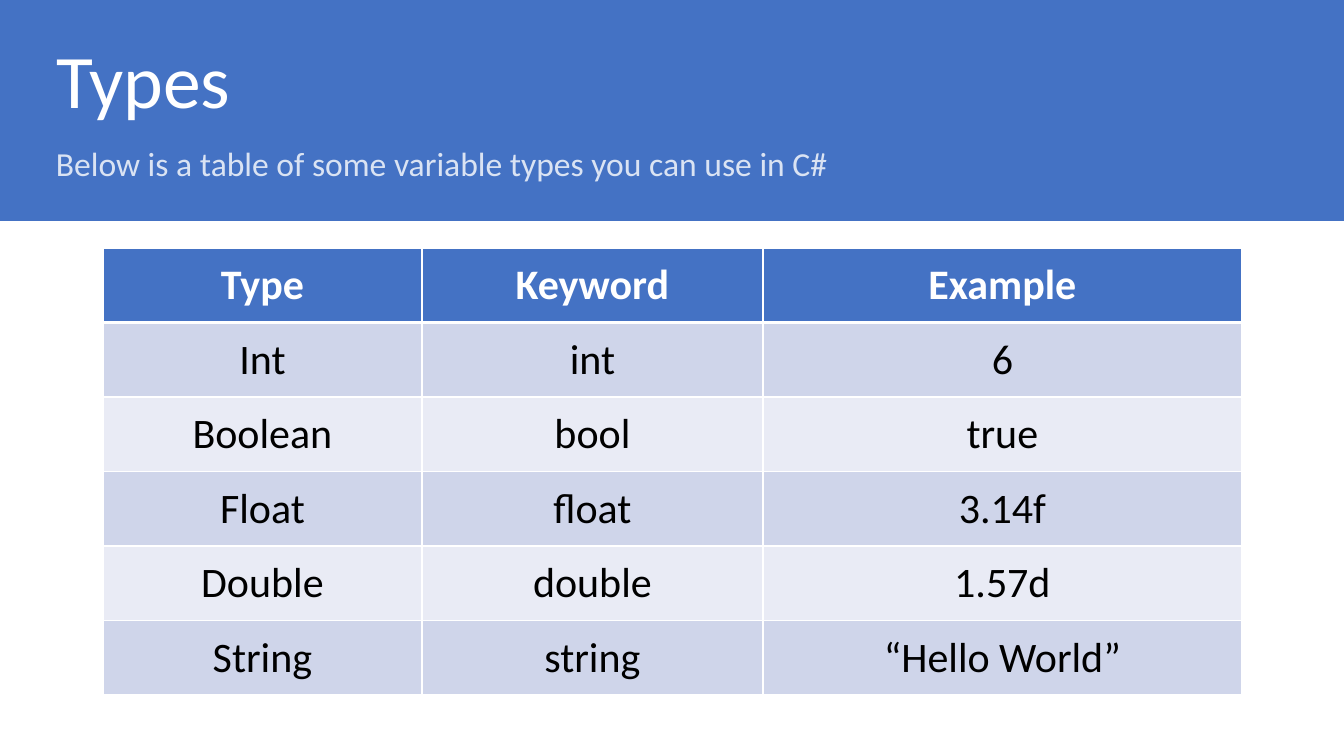
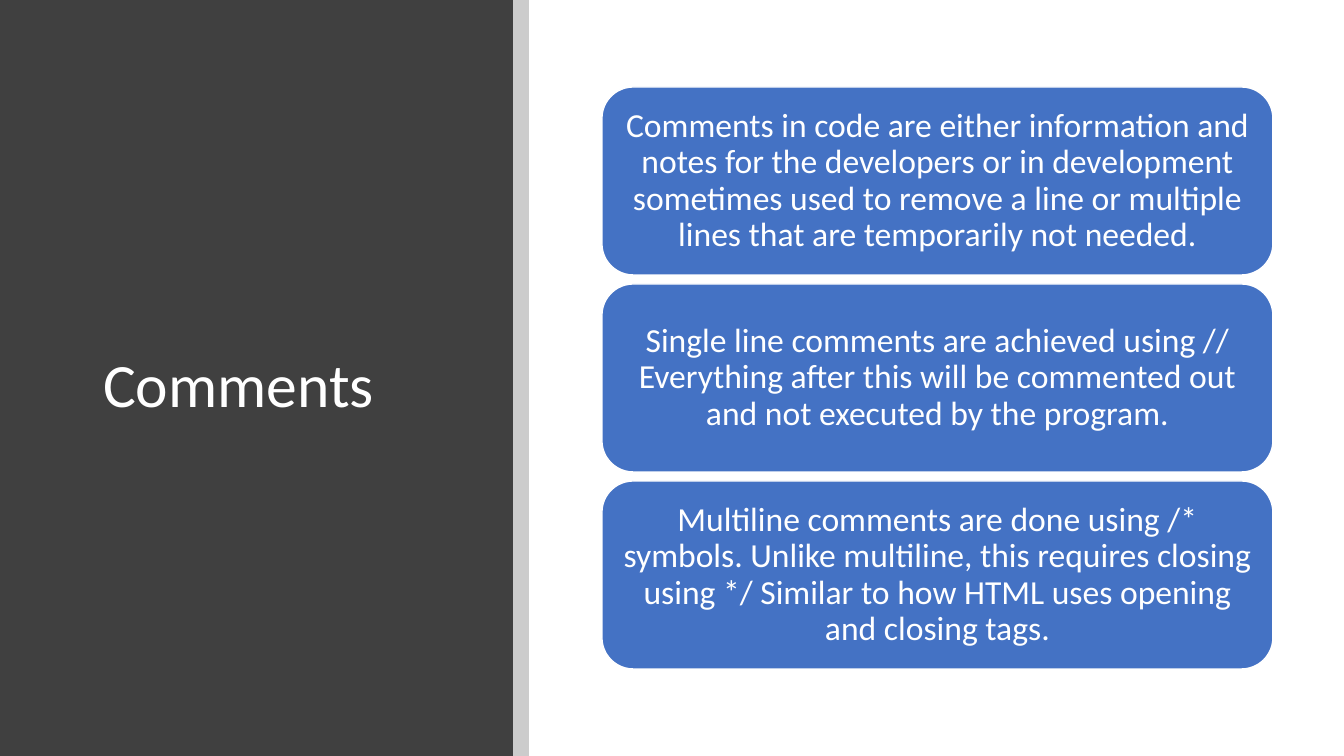
from lxml.etree import SubElement
from pptx import Presentation
from pptx.dml.color import RGBColor
from pptx.enum.shapes import MSO_SHAPE
from pptx.enum.text import MSO_ANCHOR, MSO_AUTO_SIZE, PP_ALIGN
from pptx.oxml.ns import qn
from pptx.util import Emu, Pt

FONT = "Calibri"
SLIDE_WIDTH, SLIDE_HEIGHT = 1344, 756
COLORS = {
    "blue": "4472C4",
    "pale_blue": "DAE3F3",
    "band_dark": "CFD5EA",
    "band_light": "E9EBF5",
    "charcoal": "404040",
    "black": "000000",
    "white": "FFFFFF",
}


def px(length):
    return Emu(round(length * 914400 / 100.8))


def color(name):
    return RGBColor.from_string(COLORS[name])


# Shared parts
def write_text(frame, text, size, color_name, align=PP_ALIGN.LEFT, bold=False, line_spacing=0.9):
    paragraph = frame.paragraphs[0]
    paragraph.alignment = align
    paragraph.line_spacing = line_spacing
    run = paragraph.add_run()
    run.text = text
    run.font.name = FONT
    run.font.size = Pt(size)
    run.font.bold = bold
    run.font.color.rgb = color(color_name)


def add_block(slide, kind, box, fill_name):
    shape = slide.shapes.add_shape(kind, *map(px, box))
    shape.shadow.inherit = False
    shape.fill.solid()
    shape.fill.fore_color.rgb = color(fill_name)
    shape.line.fill.background()
    return shape


def add_band(slide, box, fill_name):
    """Place a plain band behind the title."""
    band = add_block(slide, MSO_SHAPE.RECTANGLE, box, fill_name)
    slide.shapes.title.element.addprevious(band.element)
    return band


def place_title(slide, box, text, size, anchor):
    title = slide.shapes.title
    title.left, title.top, title.width, title.height = map(px, box)
    frame = title.text_frame
    frame.auto_size = MSO_AUTO_SIZE.NONE
    frame.word_wrap = True
    frame.vertical_anchor = anchor
    write_text(frame, text, size, "white")


def add_title_slide(presentation):
    return presentation.slides.add_slide(presentation.slide_layouts[5])


# Heading band across the top
def add_header(slide, box, title, subtitle):
    left, top, width, height = box
    add_band(slide, box, "blue")
    place_title(slide, (left + 46, top + 27, 1159, 103), title, 54, MSO_ANCHOR.BOTTOM)
    text_box = slide.shapes.add_textbox(px(left + 46), px(top + 142), px(1159), px(46))
    text_box.text_frame.word_wrap = True
    write_text(text_box.text_frame, subtitle, 24, "pale_blue")


# Table
def set_borders(cell, bottom_width):
    properties = cell._tc.get_or_add_tcPr()
    for side, width in (("L", 1), ("R", 1), ("T", 1), ("B", bottom_width)):
        line = SubElement(properties, qn(f"a:ln{side}"), w=str(Pt(width)))
        fill = SubElement(line, qn("a:solidFill"))
        SubElement(fill, qn("a:srgbClr"), val=COLORS["white"])


def format_cell(cell, text, row_index):
    is_header = row_index == 0
    cell.margin_left = cell.margin_right = px(17)
    cell.margin_top = cell.margin_bottom = px(8)
    cell.vertical_anchor = MSO_ANCHOR.MIDDLE
    set_borders(cell, 3 if is_header else 1)
    banding = "band_dark" if row_index % 2 else "band_light"
    cell.fill.solid()
    cell.fill.fore_color.rgb = color("blue" if is_header else banding)
    write_text(cell.text_frame, text, 30, "white" if is_header else "black",
               PP_ALIGN.CENTER, is_header, 1.0)


def add_type_table(slide, box, column_widths, rows):
    table = slide.shapes.add_table(len(rows), len(column_widths), *map(px, box)).table
    for column, width in zip(table.columns, column_widths):
        column.width = px(width)
    for row_index, values in enumerate(rows):
        table.rows[row_index].height = px(box[3] / len(rows))
        for column_index, value in enumerate(values):
            format_cell(table.cell(row_index, column_index), value, row_index)


# Side panel with a translucent edge
def add_side_panel(slide, box, title):
    left, top, width, height = box
    add_band(slide, box, "charcoal")
    edge = add_band(slide, (left + width, top, 16, height), "black")
    edge_color = edge.element.spPr.find(qn("a:solidFill")).find(qn("a:srgbClr"))
    SubElement(edge_color, qn("a:alpha"), val="20000")
    place_title(slide, (left + 93, top + 90, 368, 595), title, 44, MSO_ANCHOR.MIDDLE)


# Stack of equal cards
def add_cards(slide, box, gap, texts):
    left, top, width, height = box
    card_height = (height - gap * (len(texts) - 1)) // len(texts)
    for index, text in enumerate(texts):
        card_top = top + index * (card_height + gap)
        card = add_block(slide, MSO_SHAPE.ROUNDED_RECTANGLE,
                         (left, card_top, width, card_height), "blue")
        card.line.color.rgb = color("white")
        card.line.width = Pt(1)
        frame = card.text_frame
        frame.word_wrap = True
        frame.vertical_anchor = MSO_ANCHOR.MIDDLE
        # The preset already insets its text area at the rounded corners
        frame.margin_left = frame.margin_right = px(10)
        frame.margin_top = frame.margin_bottom = px(10)
        write_text(frame, text, 24, "white", PP_ALIGN.CENTER)


def build_types_slide(presentation):
    slide = add_title_slide(presentation)
    add_header(slide, (0, 0, SLIDE_WIDTH, 221), "Types",
               "Below is a table of some variable types you can use in C#")
    add_type_table(slide, (103, 248, 1139, 447), (319, 341, 479), [
        ("Type", "Keyword", "Example"),
        ("Int", "int", "6"),
        ("Boolean", "bool", "true"),
        ("Float", "float", "3.14f"),
        ("Double", "double", "1.57d"),
        ("String", "string", "“Hello World”"),
    ])


def build_comments_slide(presentation):
    slide = add_title_slide(presentation)
    add_side_panel(slide, (0, 0, 513, SLIDE_HEIGHT), "Comments")
    add_cards(slide, (602, 87, 671, 582), 9, [
        "Comments in code are either information and notes for the developers or in "
        "development sometimes used to remove a line or multiple lines that are "
        "temporarily not needed.",
        "Single line comments are achieved using // Everything after this will be "
        "commented out and not executed by the program.",
        "Multiline comments are done using /* symbols. Unlike multiline, this requires "
        "closing using */ Similar to how HTML uses opening and closing tags.",
    ])


def main():
    presentation = Presentation()
    presentation.slide_width = px(SLIDE_WIDTH)
    presentation.slide_height = px(SLIDE_HEIGHT)
    build_types_slide(presentation)
    build_comments_slide(presentation)
    presentation.save("out.pptx")


if __name__ == "__main__":
    main()
